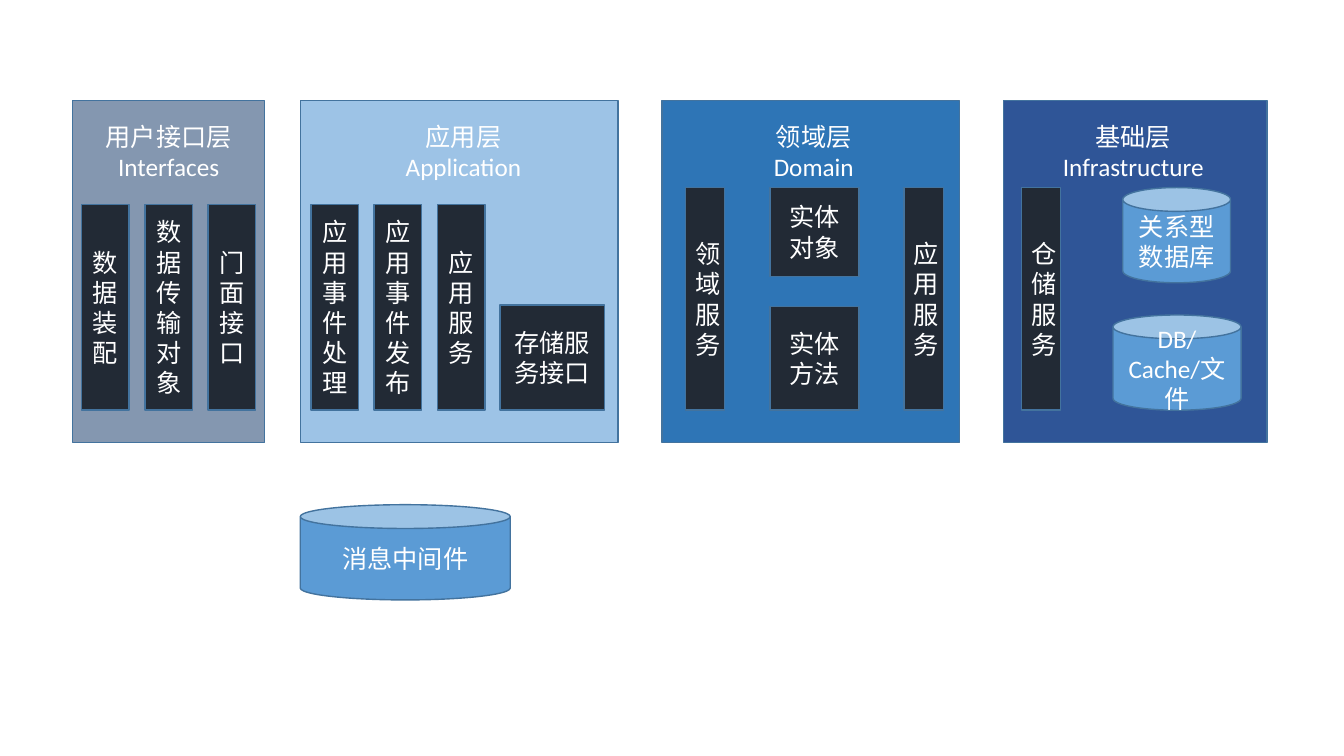
import pptx
import pptx.util
import pptx.dml.color
import pptx.enum.shapes
import pptx.enum.text

Pt = pptx.util.Pt
SHAPES = pptx.enum.shapes.MSO_SHAPE

COLORS = {
    "interfaces": "8497B0",
    "application": "9DC3E6",
    "domain": "2E75B6",
    "infrastructure": "2F5597",
    "module": "222A35",
    "store": "5B9BD5",
    "outline": "43739E",
    "text": "FFFFFF",
}
FONT_NAME = "Calibri"
FONT_SIZE = 18

LAYER_TOP = 72
LAYER_HEIGHT = 244
HEADING_TOP = 83
HEADING_HEIGHT = 51
MODULE_BOTTOM = 293
UPPER_TOP = 134
COLUMN_WIDTH = 34
COLUMN_HEIGHT = 147
COLUMN_PITCH = 45.2
SERVICE_WIDTH = 28
SERVICE_HEIGHT = MODULE_BOTTOM - UPPER_TOP
ENTITY_LEFT = 550
ENTITY_WIDTH = 63.5
STORE_HEIGHT = 68


def rgb(name):
    return pptx.dml.color.RGBColor.from_string(COLORS[name])


def write_lines(frame, lines):
    frame.word_wrap = True
    for index, line in enumerate(lines):
        paragraph = frame.paragraphs[0] if index == 0 else frame.add_paragraph()
        paragraph.alignment = pptx.enum.text.PP_ALIGN.CENTER
        run = paragraph.add_run()
        run.text = line
        run.font.name = FONT_NAME
        run.font.size = Pt(FONT_SIZE)
        run.font.color.rgb = rgb("text")


def add_block(slide, kind, color, left, top, width, height, text=None):
    shape = slide.shapes.add_shape(kind, Pt(left), Pt(top), Pt(width), Pt(height))
    shape.shadow.inherit = False
    shape.fill.solid()
    shape.fill.fore_color.rgb = rgb(color)
    shape.line.color.rgb = rgb("outline")
    shape.line.width = Pt(1)
    if text:
        shape.text_frame.vertical_anchor = pptx.enum.text.MSO_ANCHOR.MIDDLE
        write_lines(shape.text_frame, [text])


def add_layer(slide, color, left, width, heading, heading_left, heading_width):
    add_block(slide, SHAPES.RECTANGLE, color, left, LAYER_TOP, width, LAYER_HEIGHT)
    box = slide.shapes.add_textbox(
        Pt(heading_left), Pt(HEADING_TOP), Pt(heading_width), Pt(HEADING_HEIGHT))
    write_lines(box.text_frame, heading)
    box.text_frame.auto_size = pptx.enum.text.MSO_AUTO_SIZE.SHAPE_TO_FIT_TEXT


def add_module(slide, text, left, width, height, bottom=MODULE_BOTTOM):
    add_block(slide, SHAPES.RECTANGLE, "module", left, bottom - height, width, height, text)


def add_columns(slide, left, texts):
    for index, text in enumerate(texts):
        add_module(slide, text, left + index * COLUMN_PITCH, COLUMN_WIDTH, COLUMN_HEIGHT)


def add_service(slide, text, left):
    add_module(slide, text, left, SERVICE_WIDTH, SERVICE_HEIGHT)


def add_store(slide, text, left, top, width):
    add_block(slide, SHAPES.CAN, "store", left, top, width, STORE_HEIGHT, text)


def add_interfaces(slide):
    add_layer(slide, "interfaces", 52, 137, ["用户接口层", "Interfaces"], 58.5, 124)
    add_columns(slide, 58.3, ["数据装配", "数据传输对象", "门面接口"])


def add_application(slide):
    add_layer(slide, "application", 214.5, 227, ["应用层", "Application"], 222, 218)
    add_columns(slide, 222, ["应用事件处理", "应用事件发布", "应用服务"])
    add_module(slide, "存储服务接口", 357.3, 74.5, 75)
    add_store(slide, "消息中间件", 214.5, 360.5, 150)


def add_domain(slide):
    add_layer(slide, "domain", 473, 212.5, ["领域层", "Domain"], 488, 186.5)
    add_module(slide, "实体对象", ENTITY_LEFT, ENTITY_WIDTH, 63.5, UPPER_TOP + 63.5)
    add_module(slide, "实体方法", ENTITY_LEFT, ENTITY_WIDTH, 74)
    add_service(slide, "领域服务", 489.5)
    add_service(slide, "应用服务", 645.8)


def add_infrastructure(slide):
    add_layer(slide, "infrastructure", 717, 188, ["基础层", "Infrastructure"], 731, 157)
    add_service(slide, "仓储服务", 729.5)
    add_store(slide, "关系型数据库", 802, UPPER_TOP, 77)
    add_store(slide, "DB/Cache/文件", 795, MODULE_BOTTOM - STORE_HEIGHT, 91.5)


def main():
    presentation = pptx.Presentation()
    presentation.slide_width = Pt(960)
    presentation.slide_height = Pt(540)
    slide = presentation.slides.add_slide(presentation.slide_layouts[6])
    add_interfaces(slide)
    add_application(slide)
    add_domain(slide)
    add_infrastructure(slide)
    presentation.save("out.pptx")


main()
